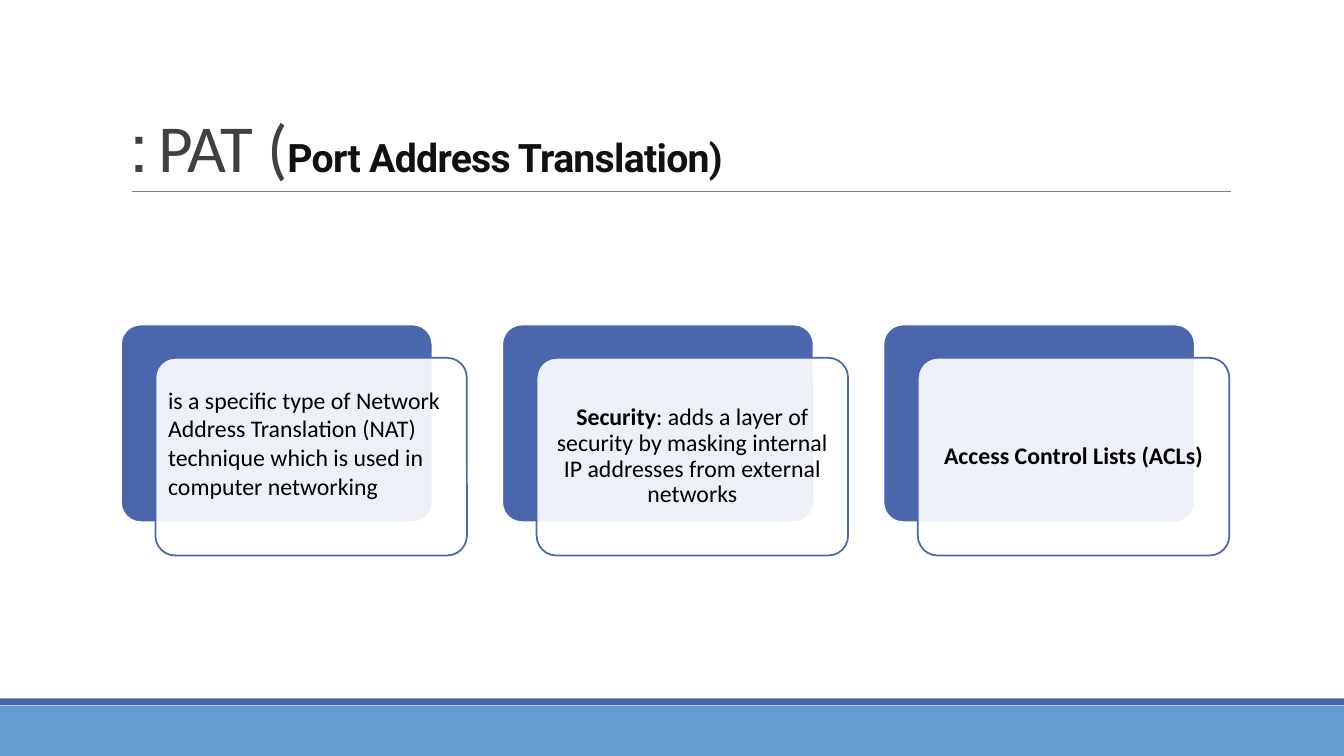
from lxml.etree import SubElement
from pptx import Presentation
from pptx.dml.color import RGBColor
from pptx.enum.shapes import MSO_CONNECTOR, MSO_SHAPE
from pptx.enum.text import MSO_ANCHOR, PP_ALIGN
from pptx.oxml.ns import qn
from pptx.util import Pt

WHITE = RGBColor(0xFF, 0xFF, 0xFF)
BLACK = RGBColor(0, 0, 0)
INDIGO = RGBColor(0x4A, 0x66, 0xAC)
SKY = RGBColor(0x62, 0x9D, 0xD1)
RULE_GRAY = RGBColor(0x80, 0x80, 0x80)
TITLE_GRAY = RGBColor(0x40, 0x40, 0x40)
TITLE_BLACK = RGBColor(0x11, 0x11, 0x11)

CARD_LEFT, CARD_TOP = 86.4, 231.8
CARD_WIDTH, CARD_HEIGHT = 222.5, 141.2
CARD_PITCH = 272.3
PANEL_SHIFT_X, PANEL_SHIFT_Y = 24.6, 23.8
TEXT_MARGIN = 4.1
TEXT_INSET = 5

CARDS = [
    ([("is a specific type of Network Address Translation (NAT) technique "
       "which is used in computer networking", False)], PP_ALIGN.LEFT, 1.0, 25),
    ([("Security", True),
      (": adds a layer of security by masking internal IP addresses "
       "from external networks", False)], PP_ALIGN.CENTER, 0.9, TEXT_INSET),
    ([("Access Control Lists (ACLs)", True)], PP_ALIGN.CENTER, 0.9, TEXT_INSET),
]


def add_block(slide, kind, left, top, width, height, fill, line=None):
    """Add a filled preset shape with an optional outline."""
    block = slide.shapes.add_shape(kind, Pt(left), Pt(top), Pt(width), Pt(height))
    block.shadow.inherit = False
    block.fill.solid()
    block.fill.fore_color.rgb = fill
    if line is None:
        block.line.fill.background()
    else:
        block.line.color.rgb = line
        block.line.width = Pt(1.25)
    return block


def add_rounded(slide, left, top, fill, line):
    """Add one rounded rectangle of card size."""
    rounded = add_block(slide, MSO_SHAPE.ROUNDED_RECTANGLE, left, top,
                        CARD_WIDTH, CARD_HEIGHT, fill, line)
    rounded.adjustments[0] = 0.1
    return rounded


def set_opacity(block, percent):
    """Make the solid fill of a shape partly transparent."""
    color = block.fill._xPr.find(qn("a:solidFill"))[0]
    SubElement(color, qn("a:alpha")).set("val", str(percent * 1000))


def add_run(paragraph, text, size, font, color, bold=False):
    """Append a formatted run to a paragraph."""
    run = paragraph.add_run()
    run.text = text
    run.font.size = Pt(size)
    run.font.name = font
    run.font.color.rgb = color
    run.font.bold = bold
    return run


def add_text_area(slide, left, top, width, height, anchor):
    """Add a wrapping text box and return its text frame."""
    area = slide.shapes.add_textbox(Pt(left), Pt(top), Pt(width), Pt(height))
    frame = area.text_frame
    frame.word_wrap = True
    frame.vertical_anchor = anchor
    return frame


def add_title(slide):
    """Add the right-to-left heading and the rule beneath it."""
    heading = add_text_area(slide, 86.4, 22.3, 792, 114.5, MSO_ANCHOR.BOTTOM).paragraphs[0]
    heading.alignment = PP_ALIGN.LEFT
    heading.line_spacing = 0.85
    heading._p.get_or_add_pPr().set("rtl", "1")
    for text, size, font, color, bold in (
        ("PAT (", 48, "Calibri", TITLE_GRAY, False),
        ("Port Address Translation) ", 28, "Roboto", TITLE_BLACK, True),
        (":", 48, "Calibri", TITLE_GRAY, False),
    ):
        run = add_run(heading, text, size, font, color, bold)
        run.font._element.set("spc", "-50")

    rule = slide.shapes.add_connector(
        MSO_CONNECTOR.STRAIGHT, Pt(94.3), Pt(136.8), Pt(879.1), Pt(136.8))
    rule.line.color.rgb = RULE_GRAY
    rule.line.width = Pt(0.5)
    SubElement(rule._element.spPr, qn("a:effectLst"))


def add_card(slide, left, pieces, alignment, spacing, bottom_inset):
    """Add a backing block, an overlapping panel and its text."""
    panel_left = left + PANEL_SHIFT_X
    panel_top = CARD_TOP + PANEL_SHIFT_Y
    add_rounded(slide, left, CARD_TOP, INDIGO, WHITE)
    set_opacity(add_rounded(slide, panel_left, panel_top, WHITE, INDIGO), 90)

    frame = add_text_area(
        slide, panel_left + TEXT_MARGIN, panel_top + TEXT_MARGIN,
        CARD_WIDTH - 2 * TEXT_MARGIN, CARD_HEIGHT - 2 * TEXT_MARGIN, MSO_ANCHOR.MIDDLE)
    frame.margin_left = frame.margin_right = frame.margin_top = Pt(TEXT_INSET)
    frame.margin_bottom = Pt(bottom_inset)
    statement = frame.paragraphs[0]
    statement.alignment = alignment
    statement.line_spacing = spacing
    for text, bold in pieces:
        add_run(statement, text, 17, "Calibri", BLACK, bold)


def main():
    """Build the slide and save it."""
    deck = Presentation()
    deck.slide_width, deck.slide_height = Pt(960), Pt(540)
    slide = deck.slides.add_slide(deck.slide_layouts[6])
    add_block(slide, MSO_SHAPE.RECTANGLE, 0, 504, 960, 36, SKY)
    add_block(slide, MSO_SHAPE.RECTANGLE, 0, 498.8, 960, 5, INDIGO)
    add_title(slide)
    for index, card in enumerate(CARDS):
        add_card(slide, CARD_LEFT + index * CARD_PITCH, *card)
    deck.save("out.pptx")


if __name__ == "__main__":
    main()
